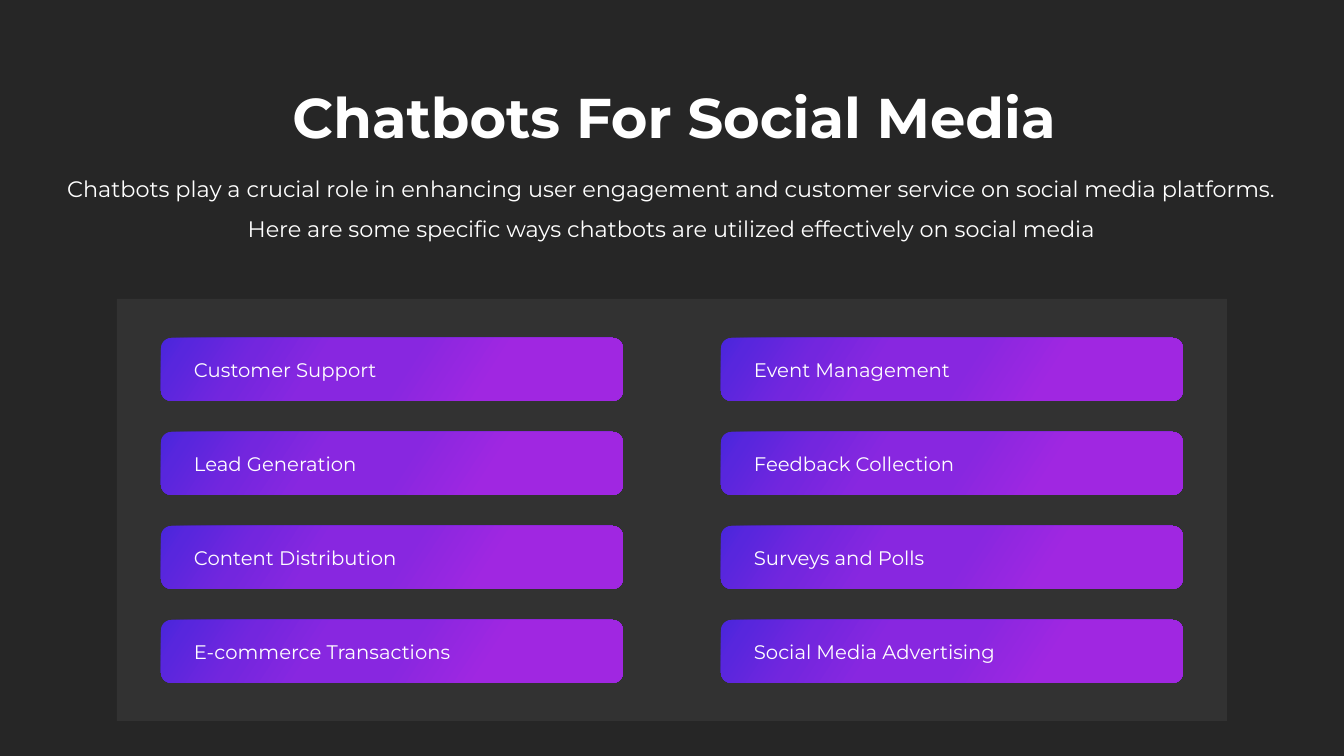
from lxml.etree import SubElement
from pptx import Presentation
from pptx.dml.color import RGBColor
from pptx.enum.shapes import MSO_SHAPE
from pptx.enum.text import MSO_ANCHOR, MSO_AUTO_SIZE, PP_ALIGN
from pptx.oxml.ns import qn
from pptx.util import Emu, Pt

EMU_PER_PX = 914400 / 100.8
FONT = "Montserrat"
BACKGROUND = RGBColor(0x26, 0x26, 0x26)
WHITE = RGBColor(0xFF, 0xFF, 0xFF)
INDIGO = RGBColor(0x48, 0x26, 0xDC)
BLUE_VIOLET = RGBColor(0x58, 0x26, 0xDD)
VIOLET = RGBColor(0x73, 0x26, 0xDE)
PURPLE = RGBColor(0x88, 0x27, 0xE0)
MAGENTA = RGBColor(0xA0, 0x27, 0xE1)
BAR_STOPS = [(0, INDIGO), (6, BLUE_VIOLET), (20, VIOLET), (35, PURPLE),
             (52, PURPLE), (71, MAGENTA), (100, MAGENTA)]

TITLE = "Chatbots For Social Media"
INTRO = ("Chatbots play a crucial role in enhancing user engagement and customer "
         "service on social media platforms. Here are some specific ways chatbots "
         "are utilized effectively on social media")
USE_COLUMNS = [
    ["Customer Support", "Lead Generation", "Content Distribution",
     "E-commerce Transactions"],
    ["Event Management", "Feedback Collection", "Surveys and Polls",
     "Social Media Advertising"],
]
BAR_LEFT, BAR_TOP, BAR_WIDTH, BAR_HEIGHT = 161, 338, 462, 63
COLUMN_PITCH, ROW_PITCH = 560, 94


def px(n):
    return Emu(round(n * EMU_PER_PX))


def set_text(p, text, size, align, bold=False):
    p.text = text
    p.alignment = align
    p.font.name = FONT
    p.font.size = Pt(size)
    p.font.bold = bold
    p.font.color.rgb = WHITE


def add_heading(slide, x, y, w, h, text, size, bold=False, spacing=1.0):
    tf = slide.shapes.add_textbox(px(x), px(y), px(w), px(h)).text_frame
    tf.word_wrap = True
    tf.auto_size = MSO_AUTO_SIZE.SHAPE_TO_FIT_TEXT
    p = tf.paragraphs[0]
    set_text(p, text, size, PP_ALIGN.CENTER, bold)
    p.line_spacing = spacing


def add_box(slide, kind, x, y, w, h):
    sp = slide.shapes.add_shape(kind, px(x), px(y), px(w), px(h))
    sp.shadow.inherit = False
    sp.line.fill.background()
    return sp


def add_panel(slide, x, y, w, h):
    """Add a faint, mostly transparent white rectangle."""
    sp = add_box(slide, MSO_SHAPE.RECTANGLE, x, y, w, h)
    sp.fill.solid()
    sp.fill.fore_color.rgb = WHITE
    color = sp.fill._xPr.find(qn("a:solidFill"))[0]
    SubElement(color, qn("a:alpha"), val="6000")


def fill_gradient(sp, stops, clockwise_angle):
    sp.fill.gradient()
    sp.fill.gradient_angle = 360 - clockwise_angle
    stop_list = sp.fill._xPr.find(qn("a:gradFill")).find(qn("a:gsLst"))
    stop_list.clear()
    for percent, color in stops:
        stop = SubElement(stop_list, qn("a:gs"), pos=str(percent * 1000))
        SubElement(stop, qn("a:srgbClr"), val=str(color))


def add_bar(slide, x, y, text):
    sp = add_box(slide, MSO_SHAPE.ROUNDED_RECTANGLE, x, y, BAR_WIDTH, BAR_HEIGHT)
    sp.adjustments[0] = 0.167
    fill_gradient(sp, BAR_STOPS, 33)
    tf = sp.text_frame
    tf.word_wrap = True
    tf.vertical_anchor = MSO_ANCHOR.MIDDLE
    p = tf.paragraphs[0]
    set_text(p, text, 14, PP_ALIGN.LEFT)
    p._p.get_or_add_pPr().set("marL", str(px(20)))


def main():
    prs = Presentation()
    prs.slide_width, prs.slide_height = px(1344), px(756)
    slide = prs.slides.add_slide(prs.slide_layouts[6])
    slide.background.fill.solid()
    slide.background.fill.fore_color.rgb = BACKGROUND

    add_heading(slide, 128, 78, 1092, 78, TITLE, 40, bold=True)
    add_heading(slide, 40, 157, 1263, 92, INTRO, 16, spacing=1.5)
    add_panel(slide, 117, 299, 1110, 422)
    for col, uses in enumerate(USE_COLUMNS):
        for row, use in enumerate(uses):
            add_bar(slide, BAR_LEFT + col * COLUMN_PITCH,
                    BAR_TOP + row * ROW_PITCH, use)

    prs.save("out.pptx")


if __name__ == "__main__":
    main()
